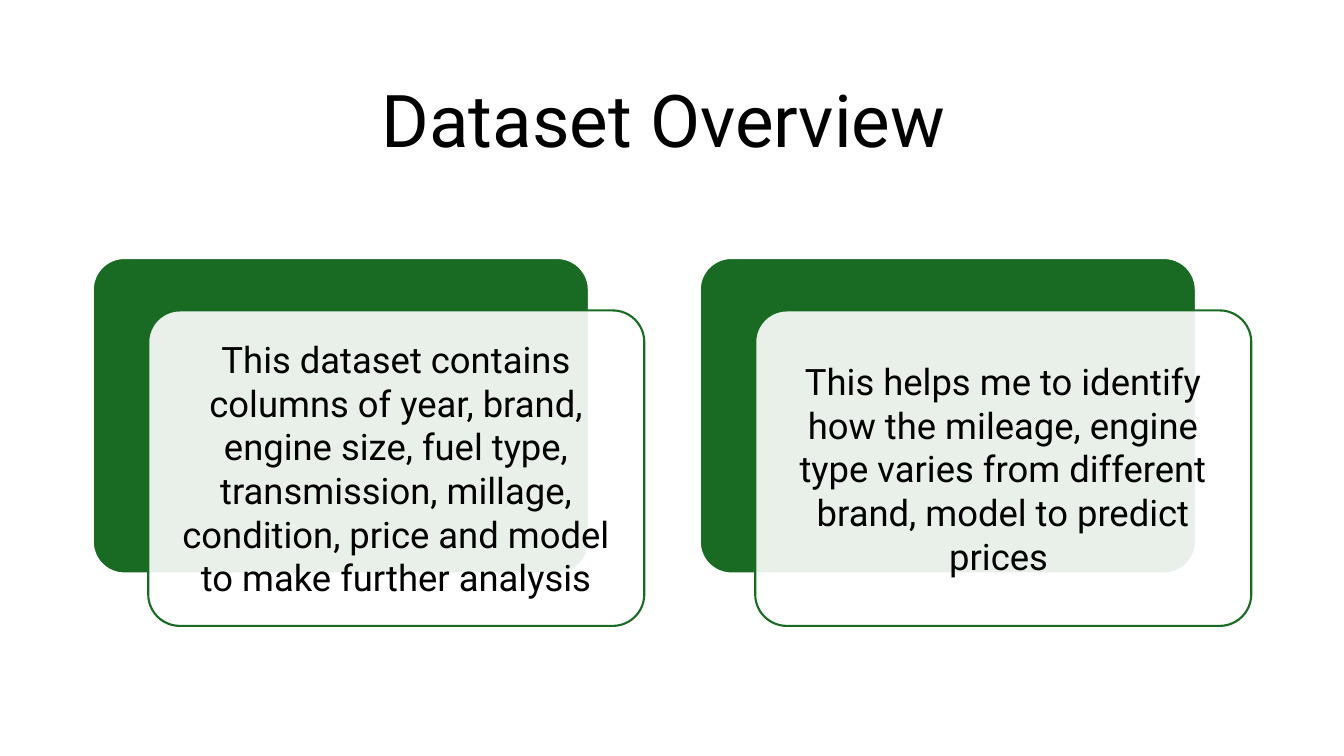
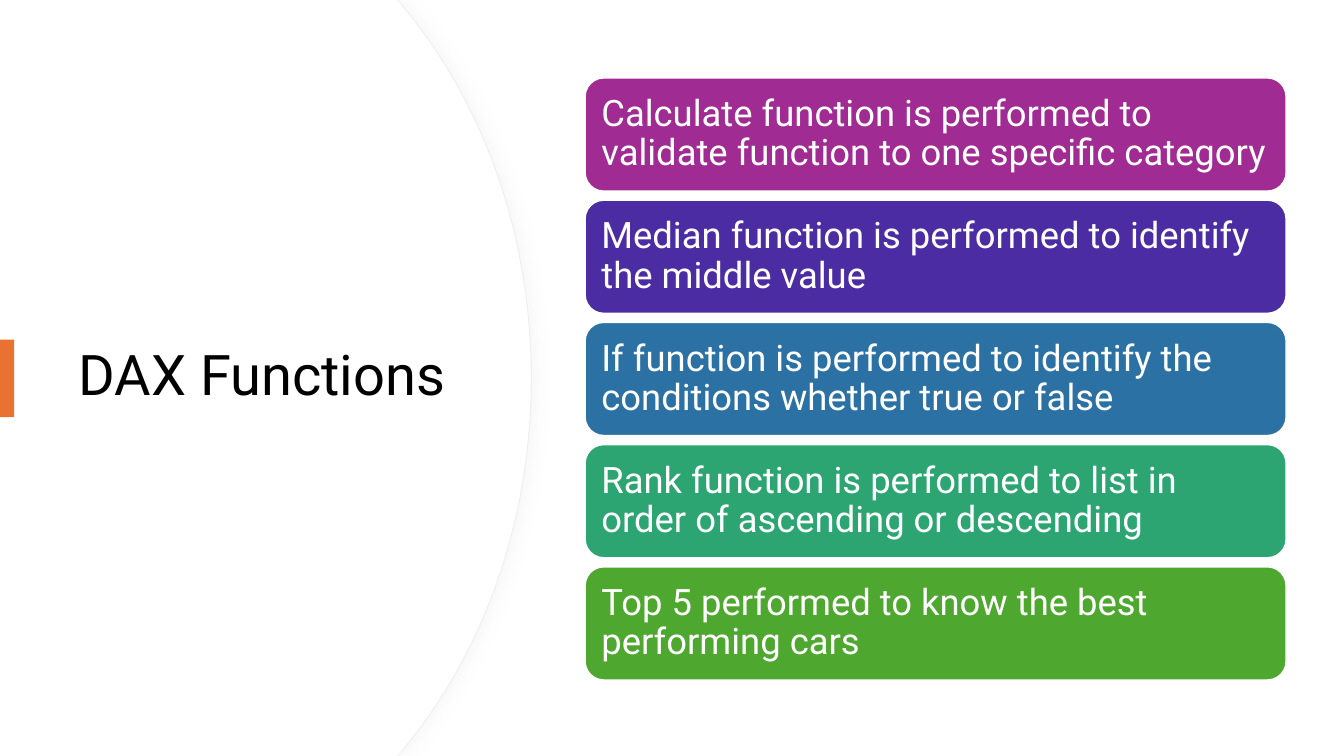
from dataclasses import dataclass

from lxml import etree
from pptx import Presentation
from pptx.dml.color import RGBColor
from pptx.enum.shapes import MSO_SHAPE
from pptx.enum.text import MSO_ANCHOR, MSO_AUTO_SIZE, PP_ALIGN
from pptx.oxml.ns import qn
from pptx.util import Inches, Pt

RECT, ROUND = MSO_SHAPE.RECTANGLE, MSO_SHAPE.ROUNDED_RECTANGLE
LEFT, CENTER = PP_ALIGN.LEFT, PP_ALIGN.CENTER
MIDDLE, NO_FIT = MSO_ANCHOR.MIDDLE, MSO_AUTO_SIZE.NONE
TITLE_ONLY = 5


@dataclass(frozen=True)
class Theme:
    font: str = "Roboto"
    ink: str = "000000"
    white: str = "FFFFFF"
    green: str = "196B24"
    accent: str = "E97132"
    edge: str = "EFEFEF"
    shade: str = "D9D9D9"
    bars: tuple = ("A02B93", "4B2CA2", "2C71A4", "2DA573", "4EA72E")
    big: float = 52
    head: float = 40
    body: float = 26
    line: float = 1.5
    thin: float = 0.75
    pad: float = 0.11


THEME = Theme()

CARDS = (
    "This dataset contains columns of year, brand, engine size, fuel type, "
    "transmission, millage, condition, price and model to make further analysis",
    "This helps me to identify how the mileage, engine type varies from "
    "different brand, model to predict prices ",
)
BARS = (
    "Calculate function is performed to validate function to one specific category",
    "Median function is performed to identify the middle value",
    "If function is performed to identify the conditions whether true or false",
    "Rank function is performed to list in order of ascending or descending",
    "Top 5 performed to know the best performing cars",
)


def write(shape, text, size=THEME.body, color=THEME.ink, align=LEFT,
          space=1.0, pad=None):
    frame = shape.text_frame
    frame.word_wrap = True
    frame.auto_size = NO_FIT
    frame.vertical_anchor = MIDDLE
    if pad is not None:
        frame.margin_left = frame.margin_right = Inches(pad)
        frame.margin_top = frame.margin_bottom = Inches(pad)
    para = frame.paragraphs[0]
    para.alignment = align
    para.line_spacing = space
    run = para.add_run()
    run.text = text
    run.font.name = THEME.font
    run.font.size = Pt(size)
    run.font.color.rgb = RGBColor.from_string(color)


def paint(shape, fill, line=None, width=THEME.line, alpha=None):
    """Set fill and outline; alpha is the fill's opacity in percent."""
    shape.shadow.inherit = False
    shape.fill.solid()
    shape.fill.fore_color.rgb = RGBColor.from_string(fill)
    if alpha is not None:
        tint = shape.fill._xPr.find(qn("a:solidFill"))[0]
        etree.SubElement(tint, qn("a:alpha"), val=str(alpha * 1000))
    if line:
        shape.line.color.rgb = RGBColor.from_string(line)
        shape.line.width = Pt(width)
    else:
        shape.line.fill.background()


def add_box(slide, kind, box, fill, round_by=None, **look):
    shape = slide.shapes.add_shape(kind, *map(Inches, box))
    if round_by is not None:
        shape.adjustments[0] = round_by
    paint(shape, fill, **look)
    return shape


def add_title(slide, text, box, **style):
    """Place the title above all shapes drawn so far."""
    title = slide.shapes.title
    title.left, title.top, title.width, title.height = map(Inches, box)
    write(title, text, space=0.9, **style)
    title.element.getparent().append(title.element)


def add_card(slide, left, top, text):
    """A green plate with a pale text panel shifted down and right."""
    wide, high = 4.92, 3.13
    add_box(slide, ROUND, (left, top, wide, high), THEME.green,
            round_by=0.1, line=THEME.white)
    panel = add_box(slide, ROUND, (left + 0.55, top + 0.52, wide, high),
                    THEME.white, round_by=0.1, line=THEME.green, alpha=90)
    write(panel, text, align=CENTER, pad=THEME.pad)


def add_bar(slide, top, text, fill):
    bar = add_box(slide, ROUND, (5.8, top, 6.96, 1.13), fill, line=THEME.white)
    write(bar, text, color=THEME.white, space=0.9, pad=THEME.pad)


def bend(shape, starts):
    """Turn each three line segments from the given indexes into a curve."""
    lines = list(shape.element.iter(qn("a:lnTo")))
    for start in starts:
        curve = etree.Element(qn("a:cubicBezTo"))
        lines[start].addprevious(curve)
        for line in lines[start:start + 3]:
            curve.append(line[0])
            line.getparent().remove(line)


def add_curve(slide, right, **look):
    """A full-height panel whose right side bulges out to the given x."""
    high = 7.5
    upper = [(3.94, 0), (right - 1.26, 0.08), (right - 0.48, 1.02),
             (right, 2.32), (right, high / 2)]
    lower = [(x, high - y) for x, y in reversed(upper[:-1])]
    build = slide.shapes.build_freeform(0, 0)
    build.add_line_segments([(Inches(x), Inches(y))
                             for x, y in (*upper, *lower, (0, high))])
    shape = build.convert_to_shape()
    bend(shape, (2, 5))
    paint(shape, THEME.white, **look)
    return shape


def add_shadow(shape, color):
    effects = shape.element.spPr.find(qn("a:effectLst"))
    outer = etree.SubElement(effects, qn("a:outerShdw"), blurRad=str(Pt(10)),
                             dist=str(Pt(3)), dir="0")
    tint = etree.SubElement(outer, qn("a:srgbClr"), val=color)
    etree.SubElement(tint, qn("a:alpha"), val="20000")


def draw_data(slide):
    add_title(slide, "Dataset Overview ", (0.92, 0.61, 11.5, 1.24),
              size=THEME.big, align=CENTER)
    for col, text in enumerate(CARDS):
        add_card(slide, 0.92 + col * 6.02, 2.56, text)


def draw_dax(slide):
    rim = add_curve(slide, 5.27, line=THEME.edge, width=THEME.thin)
    add_shadow(rim, THEME.shade)
    add_curve(slide, 5.26)
    add_title(slide, "DAX Functions", (0.68, 1.27, 3.94, 4.95),
              size=THEME.head)
    add_box(slide, RECT, (0, 3.37, 0.14, 0.77), THEME.accent)
    first, last = 0.77, 5.62
    step = (last - first) / (len(BARS) - 1)
    for row, (text, fill) in enumerate(zip(BARS, THEME.bars)):
        add_bar(slide, first + row * step, text, fill)


def main():
    deck = Presentation()
    deck.slide_width, deck.slide_height = Inches(13.33), Inches(7.5)
    for draw in (draw_data, draw_dax):
        draw(deck.slides.add_slide(deck.slide_layouts[TITLE_ONLY]))
    deck.save("out.pptx")


if __name__ == "__main__":
    main()
